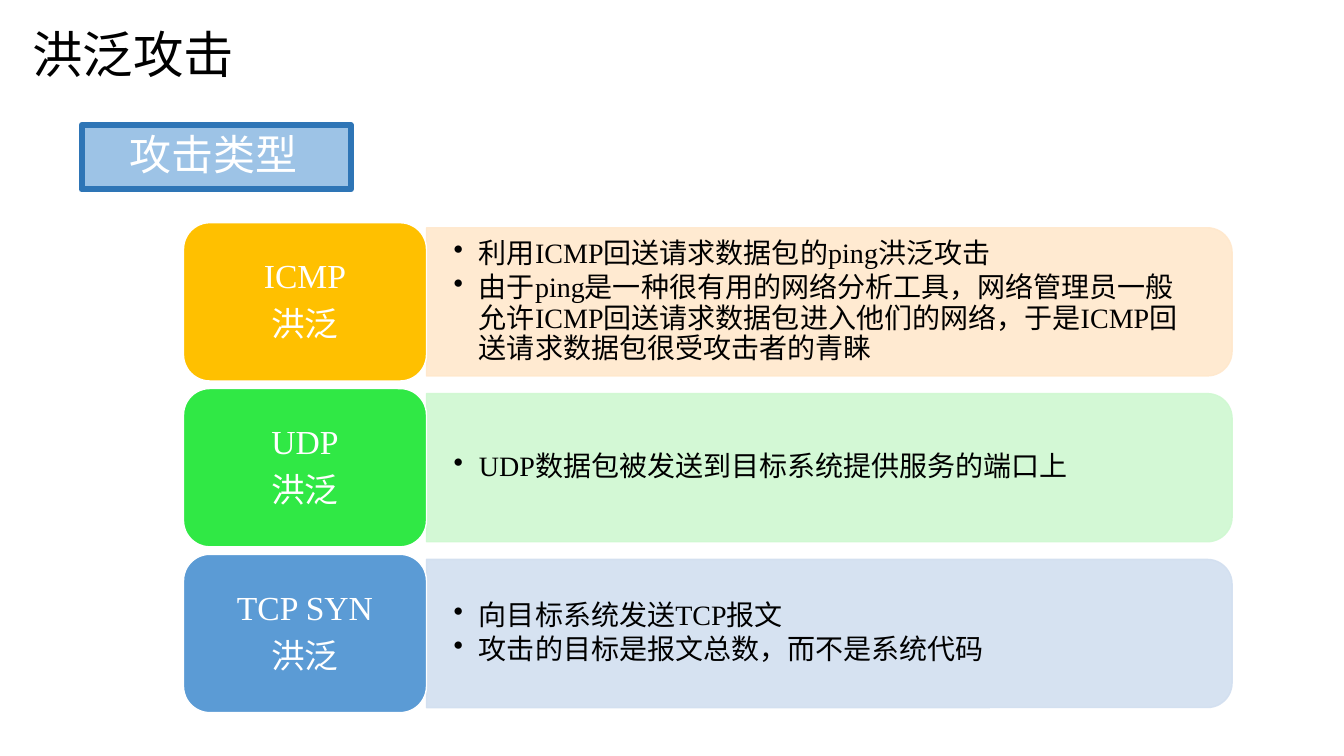
from lxml import etree
from pptx import Presentation
from pptx.dml.color import RGBColor
from pptx.enum.shapes import MSO_SHAPE as Shape
from pptx.enum.text import MSO_ANCHOR as Anchor, PP_ALIGN as Align
from pptx.oxml.ns import qn
from pptx.util import Inches, Pt

COLORS = {
    "black": "000000", "white": "FFFFFF",
    "tag": "9DC3E6", "tag line": "2E75B6",
    "orange": "FFC000", "light orange": "FFE8CC",
    "green": "30E845", "light green": "CFF8D1",
    "blue": "5B9BD5", "light blue": "D2DFF0",
}
CJK_FONT = "Noto Sans CJK SC"
LATIN_FONT = "Times New Roman"

FLOODS = [
    ("ICMP", "orange", [
        "利用ICMP回送请求数据包的ping洪泛攻击",
        "由于ping是一种很有用的网络分析工具，网络管理员一般允许ICMP回送请求数据包"
        "进入他们的网络，于是ICMP回送请求数据包很受攻击者的青睐"]),
    ("UDP", "green", ["UDP数据包被发送到目标系统提供服务的端口上"]),
    ("TCP SYN", "blue", ["向目标系统发送TCP报文", "攻击的目标是报文总数，而不是系统代码"]),
]


def add_block(kind, left, top, width, height, fill, line, line_width):
    block = page.shapes.add_shape(kind, Inches(left), Inches(top), Inches(width), Inches(height))
    block.shadow.inherit = False
    block.fill.solid()
    block.fill.fore_color.rgb = RGBColor.from_string(COLORS[fill])
    block.line.color.rgb = RGBColor.from_string(COLORS[line])
    block.line.width = Pt(line_width)
    return block


def write(box, lines, size, font, color, insets, align=Align.LEFT, spacing=0.9, after=0):
    frame = box.text_frame
    frame.word_wrap = True
    frame.vertical_anchor = Anchor.MIDDLE
    frame.margin_left = frame.margin_right = Inches(insets[0])
    frame.margin_top = frame.margin_bottom = Inches(insets[1])
    for index, line in enumerate(lines):
        para = frame.paragraphs[0] if index == 0 else frame.add_paragraph()
        para.text = line
        para.alignment = align
        para.line_spacing = spacing
        para.space_after = Pt(after)
        para.font.size = Pt(size)
        para.font.name = font
        para.font.color.rgb = RGBColor.from_string(COLORS[color])
    return frame.paragraphs


deck = Presentation()
deck.slide_width, deck.slide_height = Inches(13.33), Inches(7.5)
page = deck.slides.add_slide(deck.slide_layouts[6])

# Title
title = page.shapes.add_textbox(Inches(0.21), Inches(0), Inches(5.91), Inches(1.06))
write(title, ["洪泛攻击"], 36, CJK_FONT, "black", (0.11, 0.06), spacing=1.0)

# Section tag with rounded line corners
tag = add_block(Shape.RECTANGLE, 0.81, 1.24, 2.67, 0.64, "tag", "tag line", 4.33)
etree.SubElement(tag._element.spPr.find(qn("a:ln")), qn("a:round"))
write(tag, ["攻击类型"], 30, CJK_FONT, "white", (0.47, 0))

# One row per flood type
label_left, label_width, label_height = 1.82, 2.41, 1.57
panel_left, panel_width, panel_height = label_left + label_width, 7.99, 1.47
for row, (name, color, points) in enumerate(FLOODS):
    top = 2.21 + row * 1.645
    middle = top + label_height / 2

    # Translucent panel, turned so that its round corners face right
    panel = add_block(Shape.ROUND_2_SAME_RECTANGLE,
                      panel_left + (panel_width - panel_height) / 2, middle - panel_width / 2,
                      panel_height, panel_width, "light " + color, "light " + color, 1)
    panel.rotation = 90
    for tint in panel._element.spPr.iter(qn("a:srgbClr")):
        etree.SubElement(tint, qn("a:alpha"), val="90000")

    # Bulleted description
    details = page.shapes.add_textbox(Inches(panel_left), Inches(middle - 0.66),
                                      Inches(7.91), Inches(1.32))
    for para in write(details, points, 20, LATIN_FONT, "black", (0.27, 0.14), after=3):
        para.level = 1
        props = para._element.get_or_add_pPr()
        props.set("marL", str(Inches(0.25)))
        props.set("indent", str(-Inches(0.25)))
        bullet = etree.Element(qn("a:buChar"), char="•")
        props.find(qn("a:defRPr")).addprevious(bullet)

    # Label
    label = add_block(Shape.ROUNDED_RECTANGLE, label_left, top, label_width, label_height,
                      color, "white", 1)
    write(label, [name, "洪泛"], 24, LATIN_FONT, "white", (0.18, 0.13), Align.CENTER, after=8.4)

deck.save("out.pptx")
